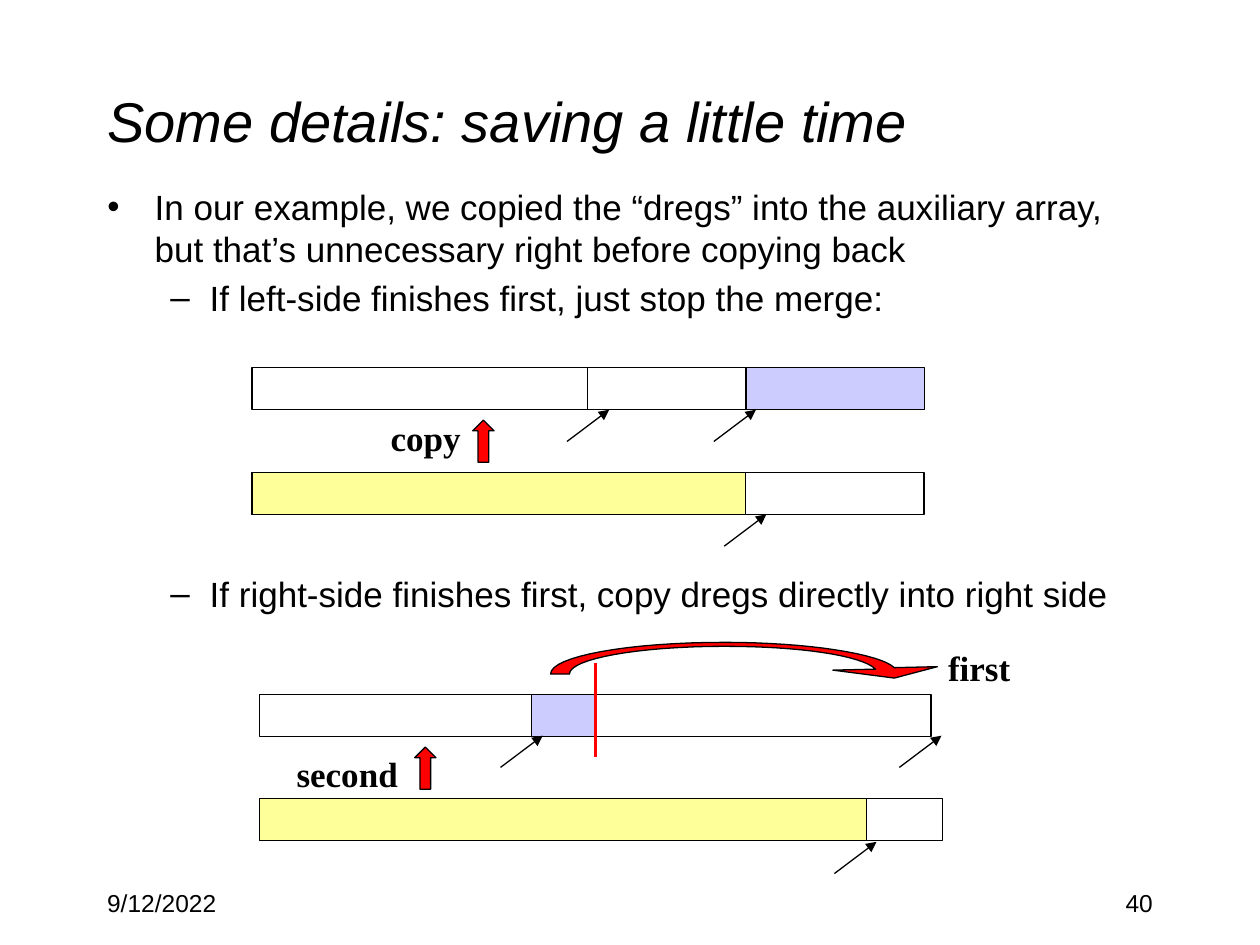
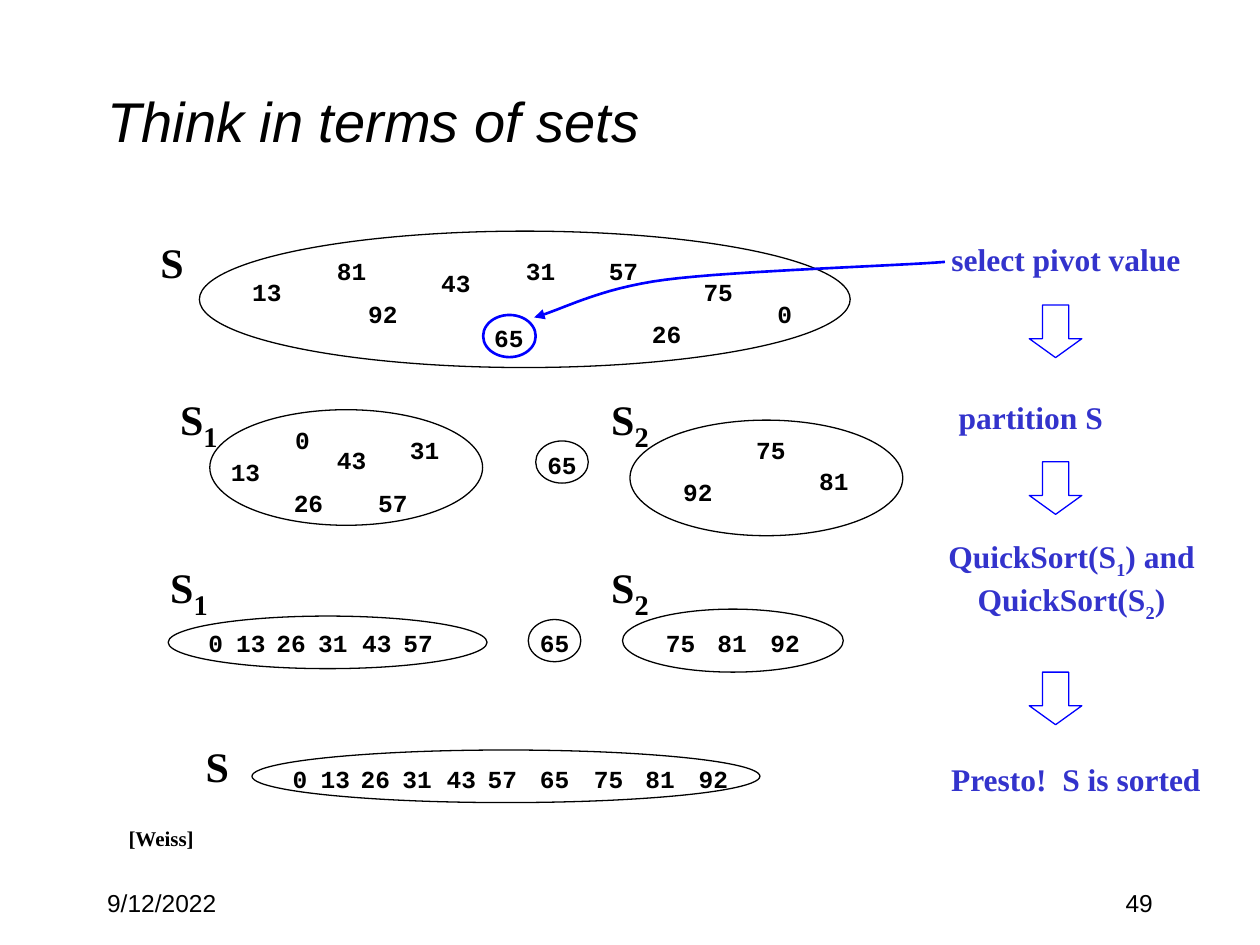
from dataclasses import dataclass

from lxml import etree
from pptx import Presentation
from pptx import util as u
from pptx.dml import color
from pptx.enum import shapes, text
from pptx.oxml import ns


@dataclass(frozen=True)
class Theme:
    black: str = "000000"
    white: str = "FFFFFF"
    red: str = "FF0000"
    blue: str = "0000FF"
    indigo: str = "3333CC"
    lavender: str = "CCCCFF"
    yellow: str = "FFFF99"
    sans: str = "Arial"
    serif: str = "Times New Roman"
    mono: str = "Courier New"
    title: int = 32
    body: int = 20
    step: int = 18
    footer: int = 14
    number: int = 14
    source: int = 12
    set_name: int = 24
    set_index: int = 28
    thin: float = 0.75
    thick: float = 1.5


THEME = Theme()
SHAPE = shapes.MSO_SHAPE

DATE = "9/12/2022"
TITLE_AREA = (1.91, 0.84, 21.59, 3.17)
BODY_AREA = (1.91, 3.61, 21.59, 9.32)
DATE_AREA = (1.91, 17.78, 5.28, 1.27)
NUMBER_AREA = (18.21, 17.78, 5.28, 1.27)

MERGE_TITLE = "Some details: saving a little time"
MERGE_POINTS = [
    (0, "In our example, we copied the “dregs” into the auxiliary array, "
        "but that’s unnecessary right before copying back", None),
    (1, "If left-side finishes first, just stop the merge:", None),
    (1, "If right-side finishes first, copy dregs directly into right side", 145),
]
BAR_HEIGHT = 0.85
BARS = [
    (5.08, 7.41, 6.77, None),
    (11.85, 7.41, 6.77, None),
    (5.08, 9.53, 13.55, None),
    (15.04, 7.41, 3.6, THEME.lavender),
    (5.08, 9.53, 9.95, THEME.yellow),
    (5.23, 14, 6.77, None),
    (12, 14, 6.77, None),
    (5.23, 16.1, 13.77, None),
    (10.72, 14, 1.27, THEME.lavender),
    (5.23, 16.1, 12.24, THEME.yellow),
]
POINTER_TIPS = [(12.28, 8.26), (15.45, 10.37), (15.24, 8.26),
                (10.94, 14.83), (17.67, 16.97), (18.98, 14.83)]
POINTER_REACH = (0.85, 0.64)
MIDDLE_MARK = ((12, 13.36), (12, 15.27))
COPY_ARROWS = [(9.53, 8.47), (8.36, 15.06)]
COPY_LABELS = [("copy", 8.58, 8.81, 1.93), ("first", 19.74, 13.46, 1.78),
               ("second", 7, 15.6, 2.57)]
DREGS_ARROW = [
    [(17.65, 13.49)],
    [(17.37, 13.21), (16.1, 13.03), (14.61, 13.03)],
    [(12.88, 13.03), (11.48, 13.28), (11.48, 13.59)],
    [(11.1, 13.59)],
    [(11.1, 13.23), (12.67, 12.95), (14.61, 12.95)],
    [(16.28, 12.95), (17.73, 13.18), (18.03, 13.46)],
    [(18.9, 13.44)],
    [(18.03, 13.67)],
    [(16.79, 13.51)],
]

SETS_TITLE = "Think in terms of sets"
SET_OVALS = [
    (4.02, 4.66, 13.12, 2.75, THEME.white),
    (4.23, 8.26, 5.5, 2.33, THEME.white),
    (12.7, 8.47, 5.5, 2.33, None),
    (3.39, 12.42, 6.43, 1.06, THEME.white),
    (12.55, 12.28, 4.45, 1.27, None),
    (5.08, 15.12, 10.24, 1.06, THEME.white),
]
PIVOT_SIZE = (1.06, 0.85)
PIVOTS = [
    (9.74, 6.35, THEME.blue, THEME.thick),
    (10.8, 8.89, THEME.black, THEME.thin),
    (10.65, 12.49, THEME.black, THEME.thin),
]
UNSORTED = [
    (13, 5.38, 5.89), (81, 7.09, 5.46), (92, 7.72, 6.32), (43, 9.19, 5.69),
    (65, 10.26, 6.81), (31, 10.9, 5.46), (57, 12.57, 5.46), (26, 13.44, 6.73),
    (75, 14.48, 5.89), (0, 15.82, 6.32),
]
PARTITIONED = [
    (13, 4.95, 9.5), (81, 16.81, 9.7), (92, 14.07, 9.91), (43, 7.09, 9.27),
    (65, 11.33, 9.37), (31, 8.56, 9.07), (57, 7.92, 10.13), (26, 6.22, 10.13),
    (75, 15.54, 9.07), (0, 6.1, 8.86),
]
SORTED = [(0, 6.05), (13, 6.76), (26, 7.57), (31, 8.41), (43, 9.3), (57, 10.13),
          (65, 11.18), (75, 12.27), (81, 13.31), (92, 14.38)]
SORTED_ROWS = [
    (SORTED[:6], -1.7, 12.95),
    (SORTED[6:7], 0, 12.95),
    (SORTED[7:], 1.45, 12.95),
    (SORTED, 0, 15.7),
]
SET_NAMES = [
    (("S",), 3.47, 5.28), (("S", "1"), 4.01, 8.47), (("S", "2"), 12.7, 8.47),
    (("S", "1"), 3.81, 11.85), (("S", "2"), 12.7, 11.85), (("S",), 4.38, 15.44),
]
STEPS = [
    ([("select pivot value",)], 21.49, 5.23, 5.18),
    ([("partition S",)], 20.78, 8.41, 3.45),
    ([("QuickSort(S", "1", ") and"), ("QuickSort(S", "2", ")")], 21.6, 11.7, 5.56),
    ([("Presto!  S is sorted",)], 21.69, 15.7, 5.59),
]
STEP_ARROW_LEFT = 20.75
STEP_ARROW_TOPS = [6.15, 9.31, 13.55]
STEP_ARROW_SIZE = 1.06
PIVOT_CURVE = [
    [(19.05, 5.28)],
    [(18.11, 5.36), (14.81, 5.46), (13.41, 5.64)],
    [(12.04, 5.82), (11.33, 6.25), (10.77, 6.4)],
]


def cm(*values):
    return [u.Cm(value) for value in values]


def rgb(value):
    return color.RGBColor.from_string(value)


def add_span(para, words, font, size, ink=THEME.black, bold=False, italic=False):
    span = para.add_run()
    span.text = words
    span.font.name, span.font.size = font, u.Pt(size)
    span.font.bold, span.font.italic = bold, italic
    span.font.color.rgb = rgb(ink)
    return span


def place(shape, area):
    shape.left, shape.top, shape.width, shape.height = cm(*area)


def paint(shape, fill=None, line=THEME.black, width=THEME.thin):
    shape.shadow.inherit = False
    if fill:
        shape.fill.solid()
        shape.fill.fore_color.rgb = rgb(fill)
    else:
        shape.fill.background()
    shape.line.color.rgb = rgb(line)
    shape.line.width = u.Pt(width)


def add_arrowhead(shape):
    line = shape._element.spPr.find(ns.qn("a:ln"))
    etree.SubElement(line, ns.qn("a:tailEnd"), type="triangle")


def add_figure(page, kind, area, **look):
    shape = page.shapes.add_shape(kind, *cm(*area))
    paint(shape, **look)
    return shape


def add_line(page, start, end, ink=THEME.black, width=THEME.thin, arrow=False):
    line = page.shapes.add_connector(shapes.MSO_CONNECTOR.STRAIGHT, *cm(*start, *end))
    line.line.color.rgb = rgb(ink)
    line.line.width = u.Pt(width)
    if arrow:
        add_arrowhead(line)
    etree.SubElement(line._element.spPr, ns.qn("a:effectLst"))


def trace(outline, pieces=16):
    points = list(outline[0])
    for segment in outline[1:]:
        if len(segment) == 1:
            points += segment
            continue
        corners = [points[-1], *segment]
        for index in range(1, pieces + 1):
            t = index / pieces
            weights = ((1 - t) ** 3, 3 * t * (1 - t) ** 2, 3 * t * t * (1 - t), t ** 3)
            points.append(tuple(sum(weight * corner[axis]
                                    for weight, corner in zip(weights, corners))
                                for axis in (0, 1)))
    return [tuple(cm(*point)) for point in points]


def add_outline(page, outline, close, **look):
    points = trace(outline)
    builder = page.shapes.build_freeform(*points[0])
    builder.add_line_segments(points[1:], close=close)
    shape = builder.convert_to_shape()
    paint(shape, **look)
    return shape


def add_label(page, lines, x, y, width, height, font, size,
              ink=THEME.black, bold=True, index_size=None):
    box = page.shapes.add_textbox(*cm(x - width / 2, y - height / 2, width, height))
    frame = box.text_frame
    frame.word_wrap = False
    frame.auto_size = text.MSO_AUTO_SIZE.SHAPE_TO_FIT_TEXT
    frame.vertical_anchor = text.MSO_ANCHOR.MIDDLE
    for row, pieces in enumerate(lines):
        para = frame.add_paragraph() if row else frame.paragraphs[0]
        para.alignment = text.PP_ALIGN.CENTER
        for order, words in enumerate(pieces):
            lowered = order % 2
            span = add_span(para, words, font,
                            index_size if lowered and index_size else size, ink, bold)
            if lowered:
                span.font._element.set("baseline", "-25000")


def add_number(page, value, x, y):
    width = 1.12 if value > 9 else 0.81
    add_label(page, [(str(value),)], x, y, width, 0.86, THEME.mono, THEME.number)


def add_footer(page, words, area, alignment):
    box = page.shapes.add_textbox(*cm(*area))
    box.text_frame.word_wrap = True
    para = box.text_frame.paragraphs[0]
    para.alignment = alignment
    add_span(para, words, THEME.sans, THEME.footer)


def add_page(deck, layout, title, number):
    page = deck.slides.add_slide(deck.slide_layouts[layout])
    heading = page.shapes.title
    place(heading, TITLE_AREA)
    heading.text_frame.auto_size = text.MSO_AUTO_SIZE.NONE
    heading.text_frame.vertical_anchor = text.MSO_ANCHOR.MIDDLE
    para = heading.text_frame.paragraphs[0]
    para.alignment = text.PP_ALIGN.LEFT
    add_span(para, title, THEME.sans, THEME.title, italic=True)
    add_footer(page, DATE, DATE_AREA, text.PP_ALIGN.LEFT)
    add_footer(page, str(number), NUMBER_AREA, text.PP_ALIGN.RIGHT)
    return page


def build_merge_page(deck):
    page = add_page(deck, 1, MERGE_TITLE, 40)
    body = page.placeholders[1]
    place(body, BODY_AREA)
    frame = body.text_frame
    frame.auto_size = text.MSO_AUTO_SIZE.NONE
    for order, (level, words, gap) in enumerate(MERGE_POINTS):
        para = frame.add_paragraph() if order else frame.paragraphs[0]
        para.level = level
        if gap:
            para.space_before = u.Pt(gap)
        add_span(para, words, THEME.sans, THEME.body)
    for left, top, width, fill in BARS:
        add_figure(page, SHAPE.RECTANGLE, (left, top, width, BAR_HEIGHT), fill=fill)
    for x, y in POINTER_TIPS:
        add_line(page, (x - POINTER_REACH[0], y + POINTER_REACH[1]), (x, y), arrow=True)
    add_line(page, *MIDDLE_MARK, ink=THEME.red, width=THEME.thick)
    for left, top in COPY_ARROWS:
        add_figure(page, SHAPE.UP_ARROW, (left, top, 0.43, 0.85), fill=THEME.red)
    add_outline(page, DREGS_ARROW, close=True, fill=THEME.red)
    for words, x, y, width in COPY_LABELS:
        add_label(page, [(words,)], x, y, width, 1.12, THEME.serif, THEME.body)


def build_sets_page(deck):
    page = add_page(deck, 5, SETS_TITLE, 49)
    for *area, fill in SET_OVALS:
        add_figure(page, SHAPE.OVAL, area, fill=fill)
    for left, top, ink, width in PIVOTS:
        add_figure(page, SHAPE.OVAL, (left, top, *PIVOT_SIZE), line=ink, width=width)
    for value, x, y in UNSORTED + PARTITIONED:
        add_number(page, value, x, y)
    for values, shift, y in SORTED_ROWS:
        for value, x in values:
            add_number(page, value, x + shift, y)
    for pieces, x, y in SET_NAMES:
        width, height = (1.32, 1.45) if len(pieces) > 1 else (0.99, 1.27)
        add_label(page, [pieces], x, y, width, height, THEME.serif, THEME.set_name,
                  index_size=THEME.set_index)
    for lines, x, y, width in STEPS:
        add_label(page, lines, x, y, width, 0.22 + 0.8 * len(lines), THEME.serif,
                  THEME.step, THEME.indigo)
    add_label(page, [("[Weiss]",)], 3.25, 16.89, 1.83, 0.76, THEME.serif, THEME.source)
    curve = add_outline(page, PIVOT_CURVE, close=False, line=THEME.blue, width=THEME.thick)
    add_arrowhead(curve)
    for top in STEP_ARROW_TOPS:
        area = (STEP_ARROW_LEFT, top, STEP_ARROW_SIZE, STEP_ARROW_SIZE)
        arrow = add_figure(page, SHAPE.DOWN_ARROW, area, line=THEME.blue)
        arrow.adjustments[1] = 0.36


def main():
    deck = Presentation()
    deck.slide_width, deck.slide_height = cm(25.4, 19.05)
    build_merge_page(deck)
    build_sets_page(deck)
    deck.save("out.pptx")


if __name__ == "__main__":
    main()
